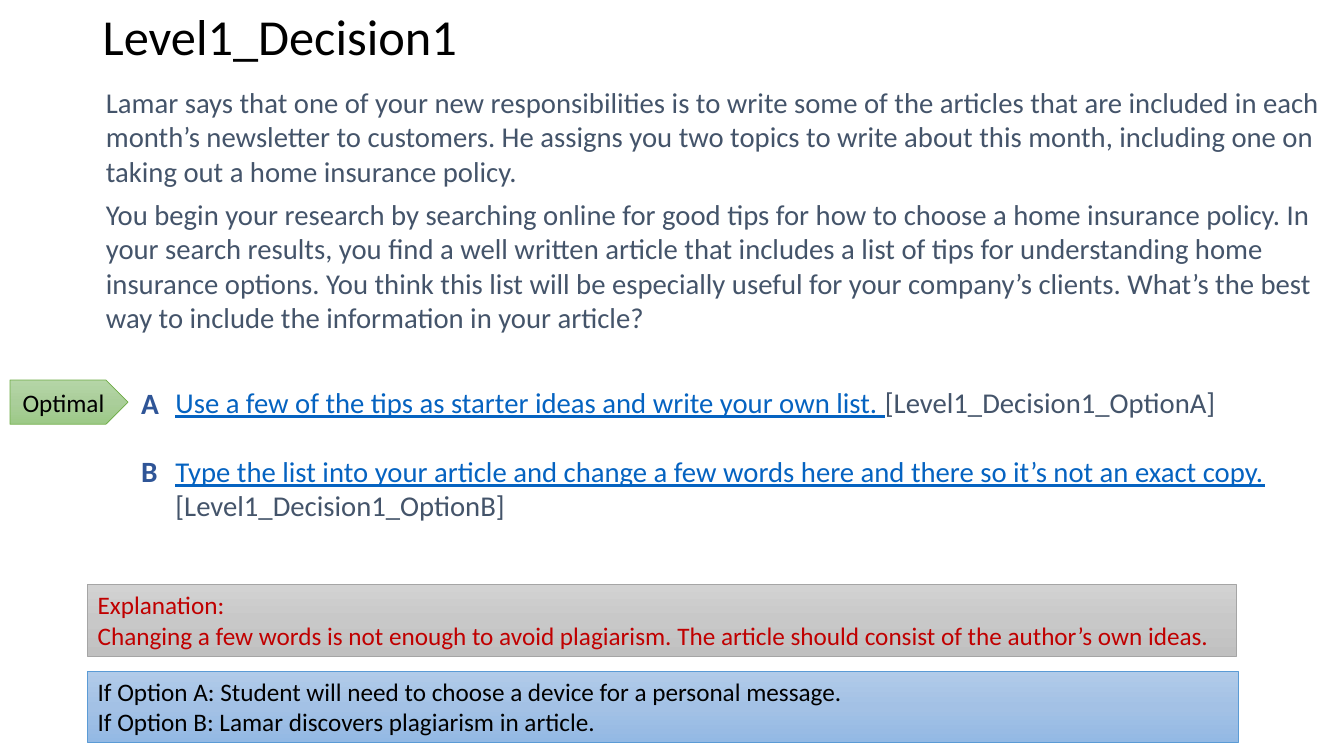
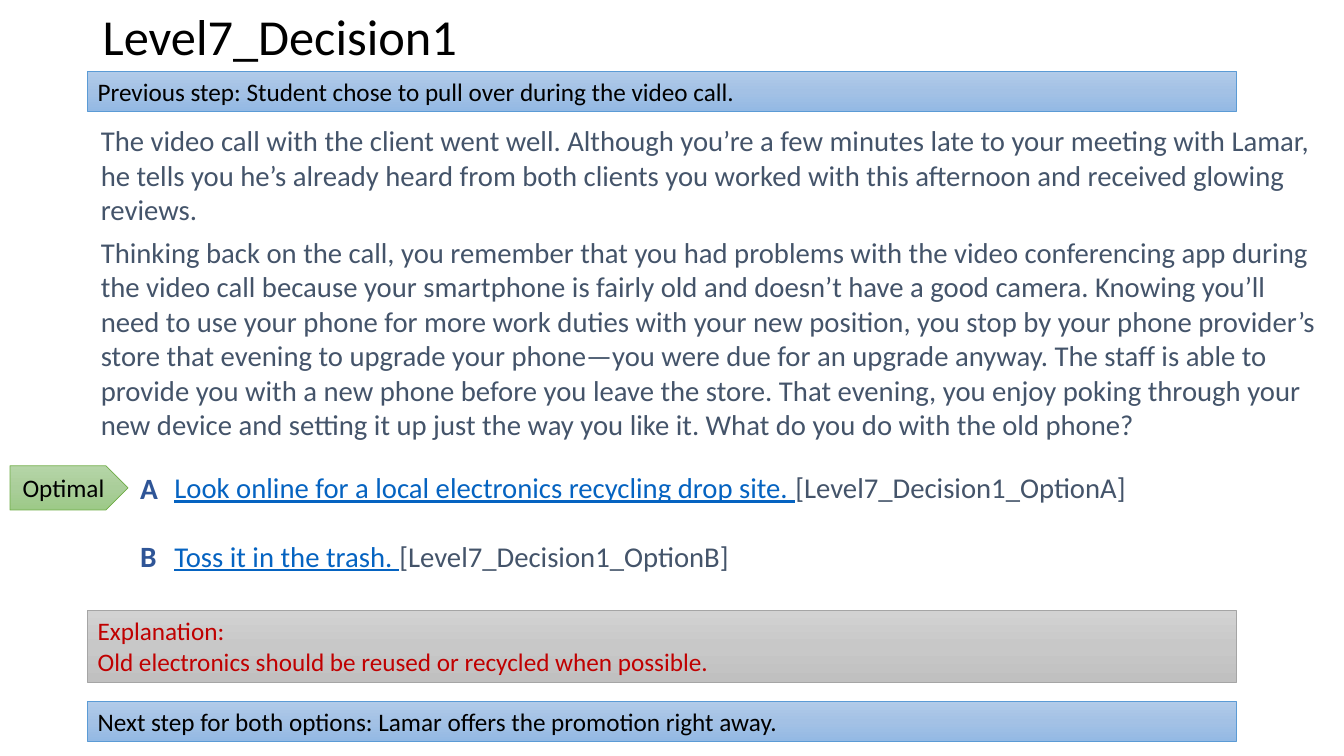
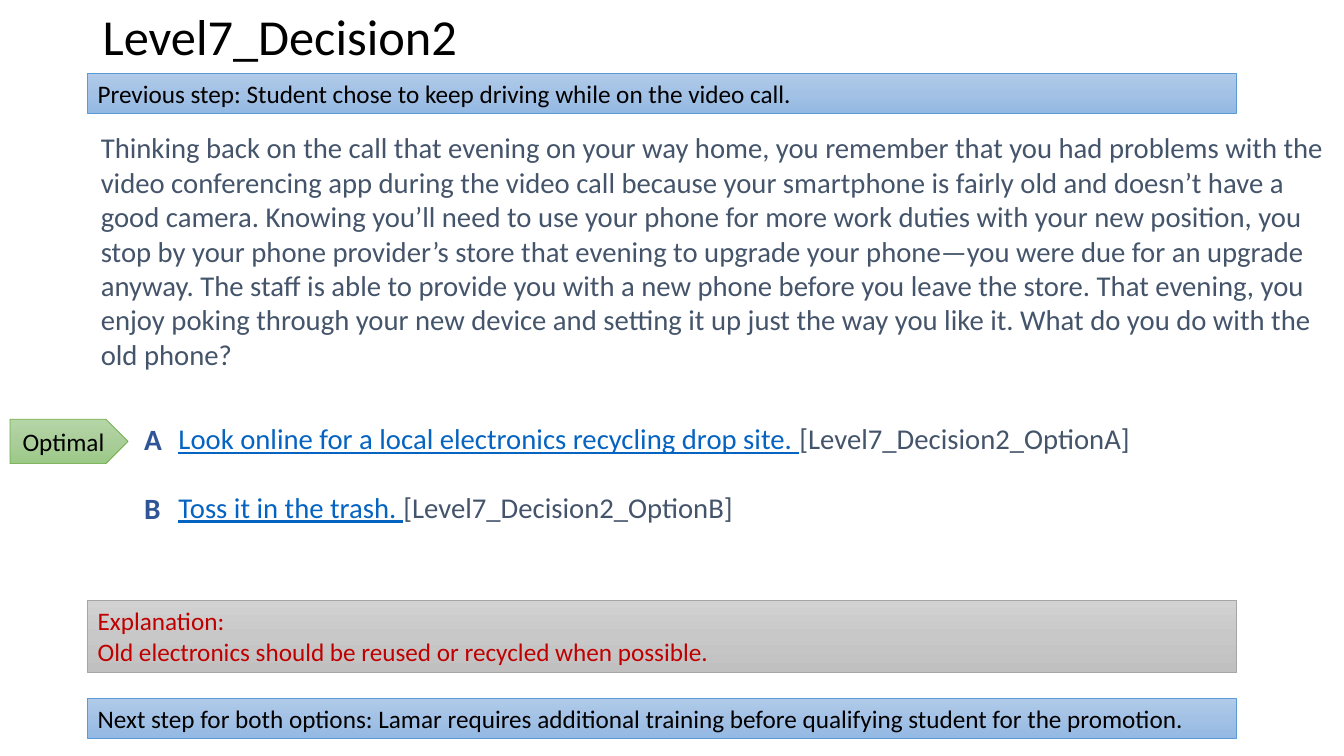
from copy import deepcopy
from dataclasses import dataclass

from pptx import Presentation
from pptx import util as u
from pptx.dml.color import RGBColor
from pptx.enum import shapes, text
from pptx.oxml.ns import qn

EMU_PER_PX = 9144  # 100 px to the inch


def px(n: int) -> u.Emu:
    return u.Emu(n * EMU_PER_PX)


@dataclass(frozen=True)
class Box:
    left: int
    top: int
    width: int
    height: int

    def emu(self) -> list[u.Emu]:
        return [px(n) for n in (self.left, self.top, self.width, self.height)]


@dataclass(frozen=True)
class Style:
    size: float
    color: str
    bold: bool = False
    underline: bool = False


@dataclass(frozen=True)
class Paint:
    stops: tuple[str, str, str]
    line: str


@dataclass(frozen=True)
class Theme:
    font: str = "Calibri"
    title: Style = Style(36, "000000")
    body: Style = Style(20.5, "44546A")
    link: Style = Style(20.5, "0563C1", underline=True)
    letter: Style = Style(21, "2F5597", bold=True)
    label: Style = Style(18, "000000")
    warning: Style = Style(18, "C00000")
    green: Paint = Paint(("B5D5A7", "AACE9A", "9CC987"), "70AD47")
    gray: Paint = Paint(("D2D2D2", "C8C8C8", "C0C0C0"), "A5A5A5")
    blue: Paint = Paint(("B1CBE9", "A3C1E5", "93B9E4"), "5B9BD5")
    body_gap: float = 6
    option_gap: float = 24.5


THEME = Theme()
SLIDE_W, SLIDE_H = 1333, 750
TITLE = Box(92, 4, 1150, 70)
BAND_LEFT, BAND_WIDTH = 87, 1139
BAND_HEIGHTS = {1: 40, 2: 71}
LETTER_OFFSET, LETTER_PITCH = 34, 68


@dataclass(frozen=True)
class Band:
    top: int
    lines: tuple[str, ...]
    paint: Paint = THEME.blue
    style: Style = THEME.label
    width: int = BAND_WIDTH


@dataclass(frozen=True)
class Decision:
    title: str
    body_box: Box
    body: tuple[str, ...]
    options_box: Box
    options: tuple[str, ...]
    optimal_top: int
    bands: tuple[Band, ...]


def explanation(top: int, reason: str) -> Band:
    return Band(top, ("Explanation:", reason), THEME.gray, THEME.warning)


def format_run(r, style: Style) -> None:
    f = r.font
    f.name, f.size = THEME.font, u.Pt(style.size)
    f.bold, f.underline = style.bold, style.underline
    f.color.rgb = RGBColor.from_string(style.color)


def fill_text(tf, lines: tuple[str, ...], style: Style) -> None:
    tf.word_wrap = True
    tf.text = "\n".join(lines)
    for p in tf.paragraphs:
        for r in p.runs:
            format_run(r, style)


def add_text(s, box: Box, lines: tuple[str, ...], style: Style):
    """Add a text box with the wide insets of the running text."""
    tf = s.shapes.add_textbox(*box.emu()).text_frame
    tf.margin_left = tf.margin_right = px(13)
    tf.margin_top = tf.margin_bottom = px(7)
    fill_text(tf, lines, style)
    return tf


def add_painted(s, kind: shapes.MSO_SHAPE, box: Box, paint: Paint,
                lines: tuple[str, ...], style: Style):
    """Add a shape with a three-stop gradient running downwards."""
    sp = s.shapes.add_shape(kind, *box.emu())
    sp.shadow.inherit = False
    sp.fill.gradient()
    sp.fill.gradient_angle = 270
    stop_list = sp._element.spPr.find(qn("a:gradFill")).find(qn("a:gsLst"))
    stop_list.append(deepcopy(stop_list[0]))
    for i, (stop, color) in enumerate(zip(sp.fill.gradient_stops, paint.stops)):
        stop.position = i / 2
        stop.color.rgb = RGBColor.from_string(color)
    sp.line.color.rgb = RGBColor.from_string(paint.line)
    sp.line.width = u.Pt(0.5)
    fill_text(sp.text_frame, lines, style)
    return sp.text_frame


def add_title(s, title: str) -> None:
    tf = s.shapes.add_textbox(*TITLE.emu()).text_frame
    fill_text(tf, (title,), THEME.title)
    tf.vertical_anchor = text.MSO_ANCHOR.MIDDLE
    tf.paragraphs[0].line_spacing = 0.9


def add_band(s, band: Band) -> None:
    box = Box(BAND_LEFT, band.top, band.width, BAND_HEIGHTS[len(band.lines)])
    tf = add_painted(s, shapes.MSO_SHAPE.RECTANGLE, box, band.paint,
                     band.lines, band.style)
    tf.auto_size = text.MSO_AUTO_SIZE.SHAPE_TO_FIT_TEXT
    tf.vertical_anchor = text.MSO_ANCHOR.TOP
    for p in tf.paragraphs:
        p.alignment = text.PP_ALIGN.LEFT


def add_options(s, d: Decision) -> None:
    """Add the answers, each with its target in brackets, and their letters."""
    box = d.options_box
    tf = add_text(s, box, d.options, THEME.link)
    for i, (letter, p) in enumerate(zip("AB", tf.paragraphs)):
        r = p.add_run()
        r.text = f"[{d.title}_Option{letter}]"
        format_run(r, THEME.body)
        if i:
            p.space_before = u.Pt(THEME.option_gap)
        letter_box = Box(box.left - LETTER_OFFSET, box.top + i * LETTER_PITCH, 70, 44)
        add_text(s, letter_box, (letter,), THEME.letter)


def add_optimal(s, top: int) -> None:
    tf = add_painted(s, shapes.MSO_SHAPE.PENTAGON, Box(10, top, 117, 44),
                     THEME.green, ("Optimal",), THEME.label)
    tf.vertical_anchor = text.MSO_ANCHOR.MIDDLE
    tf.paragraphs[0].alignment = text.PP_ALIGN.CENTER


def add_decision(prs, d: Decision) -> None:
    s = prs.slides.add_slide(prs.slide_layouts[6])
    add_title(s, d.title)
    for p in add_text(s, d.body_box, d.body, THEME.body).paragraphs:
        p.space_after = u.Pt(THEME.body_gap)
    add_options(s, d)
    add_optimal(s, d.optimal_top)
    for band in d.bands:
        add_band(s, band)


PHONE_STORY = (
    "you remember that you had problems with the video conferencing app during the "
    "video call because your smartphone is fairly old and doesn’t have a good camera. "
    "Knowing you’ll need to use your phone for more work duties with your new position, "
    "you stop by your phone provider’s store that evening to upgrade your phone—you were "
    "due for an upgrade anyway. The staff is able to provide you with a new phone before "
    "you leave the store. That evening, you enjoy poking through your new device and "
    "setting it up just the way you like it. What do you do with the old phone?"
)
PHONE_OPTIONS = (
    "Look online for a local electronics recycling drop site. ",
    "Toss it in the trash. ",
)
PHONE_REASON = "Old electronics should be reused or recycled when possible."

DECISIONS = (
    Decision(
        title="Level1_Decision1",
        body_box=Box(92, 77, 1242, 308),
        body=(
            "Lamar says that one of your new responsibilities is to write some of the "
            "articles that are included in each month’s newsletter to customers. He "
            "assigns you two topics to write about this month, including one on taking "
            "out a home insurance policy.",
            "You begin your research by searching online for good tips for how to choose "
            "a home insurance policy. In your search results, you find a well written "
            "article that includes a list of tips for understanding home insurance "
            "options. You think this list will be especially useful for your company’s "
            "clients. What’s the best way to include the information in your article?",
        ),
        options_box=Box(161, 375, 1172, 166),
        options=(
            "Use a few of the tips as starter ideas and write your own list. ",
            "Type the list into your article and change a few words here and there "
            "so it’s not an exact copy. ",
        ),
        optimal_top=377,
        bands=(
            explanation(580, "Changing a few words is not enough to avoid plagiarism. "
                             "The article should consist of the author’s own ideas."),
            Band(666, (
                "If Option A: Student will need to choose a device for a personal message.",
                "If Option B: Lamar discovers plagiarism in article.",
            ), width=1141),
        ),
    ),
    Decision(
        title="Level7_Decision1",
        body_box=Box(87, 115, 1246, 331),
        body=(
            "The video call with the client went well. Although you’re a few minutes late "
            "to your meeting with Lamar, he tells you he’s already heard from both clients "
            "you worked with this afternoon and received glowing reviews.",
            f"Thinking back on the call, {PHONE_STORY}",
        ),
        options_box=Box(160, 459, 1173, 116),
        options=PHONE_OPTIONS,
        optimal_top=462,
        bands=(
            Band(71, ("Previous step: Student chose to pull over during the video call.",)),
            explanation(606, PHONE_REASON),
            Band(696, ("Next step for both options: Lamar offers the promotion right away.",)),
        ),
    ),
    Decision(
        title="Level7_Decision2",
        body_box=Box(87, 122, 1246, 267),
        body=(f"Thinking back on the call that evening on your way home, {PHONE_STORY}",),
        options_box=Box(164, 411, 1169, 146),
        options=PHONE_OPTIONS,
        optimal_top=416,
        bands=(
            Band(73, ("Previous step: Student chose to keep driving while on the video call.",)),
            explanation(596, PHONE_REASON),
            Band(693, ("Next step for both options: Lamar requires additional training "
                       "before qualifying student for the promotion.",)),
        ),
    ),
)


def main() -> None:
    prs = Presentation()
    prs.slide_width, prs.slide_height = px(SLIDE_W), px(SLIDE_H)
    for d in DECISIONS:
        add_decision(prs, d)
    prs.save("out.pptx")


if __name__ == "__main__":
    main()
